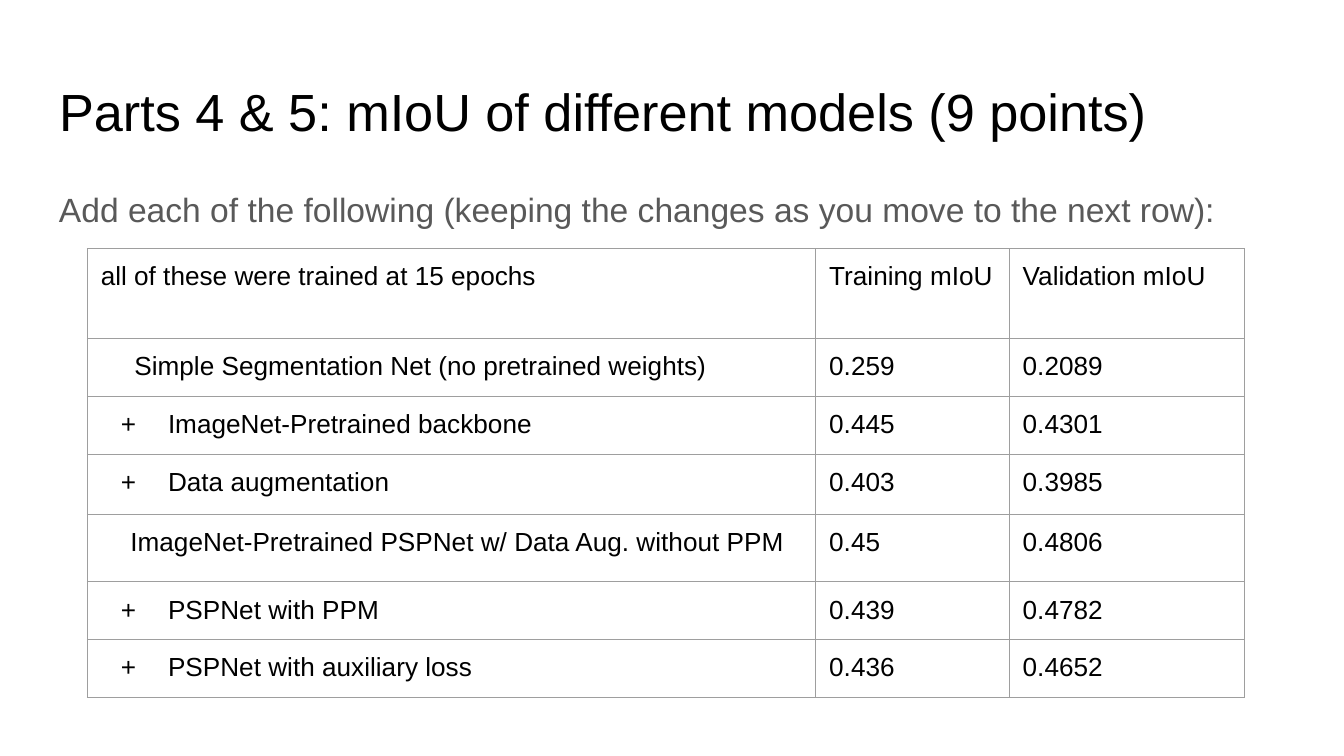
from lxml.etree import SubElement
from pptx import Presentation
from pptx.dml.color import RGBColor
from pptx.enum.text import MSO_ANCHOR, MSO_AUTO_SIZE, PP_ALIGN
from pptx.oxml import parse_xml
from pptx.oxml.ns import nsdecls, qn
from pptx.util import Inches, Pt

TITLE = "Parts 4 & 5: mIoU of different models (9 points)"
INSTRUCTION = "Add each of the following (keeping the changes as you move to the next row):"
PLAIN = {}
MODEL = {"indent": 0.25}
MODEL_TIGHT = {"indent": 0.22}
ADDITION = {"indent": 0.5, "hanging": 0.35, "bullet": "+"}
RESULTS = [
    (0.67, PLAIN, "all of these were trained at 15 epochs", "Training mIoU", "Validation mIoU"),
    (0.43, MODEL, "Simple Segmentation Net (no pretrained weights)", "0.259", "0.2089"),
    (0.43, ADDITION, "ImageNet-Pretrained backbone", "0.445", "0.4301"),
    (0.45, ADDITION, "Data augmentation", "0.403", "0.3985"),
    (0.5, MODEL_TIGHT, "ImageNet-Pretrained PSPNet w/ Data Aug. without PPM", "0.45", "0.4806"),
    (0.43, ADDITION, "PSPNet with PPM", "0.439", "0.4782"),
    (0.43, ADDITION, "PSPNet with auxiliary loss", "0.436", "0.4652"),
]
COLUMN_WIDTHS = [5.42, 1.44, 1.75]
ROW_HEIGHTS = [row[0] for row in RESULTS]
COLORS = {"text": "000000", "instruction": "595959", "border": "9E9E9E"}
SLIDE_WIDTH = Inches(10)
SLIDE_HEIGHT = SLIDE_WIDTH * 9 // 16
MARGIN = Inches(0.1)


def write(frame, text, size=14, color="text", spacing=1.0, indent=0, hanging=0, bullet=None):
    paragraph = frame.paragraphs[0]
    paragraph.alignment = PP_ALIGN.LEFT
    paragraph.line_spacing = spacing
    run = paragraph.add_run()
    run.text = text
    run.font.size = Pt(size)
    run.font.name = "Arial"
    run.font.bold = False
    run.font.color.rgb = RGBColor.from_string(COLORS[color])
    properties = paragraph._p.get_or_add_pPr()
    properties.set("marL", str(Inches(indent)))
    properties.set("indent", str(-Inches(hanging)))
    if bullet:
        bullet_color = SubElement(properties, qn("a:buClr"))
        SubElement(bullet_color, qn("a:srgbClr"), val=COLORS[color])
        SubElement(properties, qn("a:buFont"), typeface="Arial")
        SubElement(properties, qn("a:buChar"), char=bullet)


def set_margins(holder):
    holder.margin_left = holder.margin_right = MARGIN
    holder.margin_top = holder.margin_bottom = MARGIN
    holder.vertical_anchor = MSO_ANCHOR.TOP


def prepare_frame(shape):
    frame = shape.text_frame
    frame.word_wrap = True
    frame.auto_size = MSO_AUTO_SIZE.NONE
    set_margins(frame)
    return frame


def add_borders(cell):
    properties = cell._tc.get_or_add_tcPr()
    for position, side in enumerate(("lnL", "lnR", "lnT", "lnB")):
        properties.insert(position, parse_xml(
            f'<a:{side} {nsdecls("a")} w="{Pt(0.75)}"><a:solidFill>'
            f'<a:srgbClr val="{COLORS["border"]}"/></a:solidFill></a:{side}>'
        ))


def main():
    presentation = Presentation()
    presentation.slide_width = SLIDE_WIDTH
    presentation.slide_height = SLIDE_HEIGHT
    slide = presentation.slides.add_slide(presentation.slide_layouts[5])

    title = slide.shapes.title
    title.left, title.top = Inches(0.34), Inches(0.49)
    title.width, title.height = Inches(9.32), Inches(0.63)
    write(prepare_frame(title), TITLE, size=28)

    instruction = slide.shapes.add_textbox(Inches(0.34), Inches(1.26), Inches(9.32), Inches(3.74))
    write(prepare_frame(instruction), INSTRUCTION, size=18, color="instruction", spacing=1.15)

    results = slide.shapes.add_table(
        len(RESULTS), len(COLUMN_WIDTHS), Inches(0.65), Inches(1.85),
        Inches(sum(COLUMN_WIDTHS)), Inches(sum(ROW_HEIGHTS)),
    ).table
    results.first_row = results.horz_banding = False
    for column, width in zip(results.columns, COLUMN_WIDTHS):
        column.width = Inches(width)
    for row, (height, label_format, *texts) in zip(results.rows, RESULTS):
        row.height = Inches(height)
        for cell, text, text_format in zip(row.cells, texts, (label_format, PLAIN, PLAIN)):
            set_margins(cell)
            cell.fill.background()
            add_borders(cell)
            write(cell.text_frame, text, **text_format)

    presentation.save("out.pptx")


if __name__ == "__main__":
    main()
